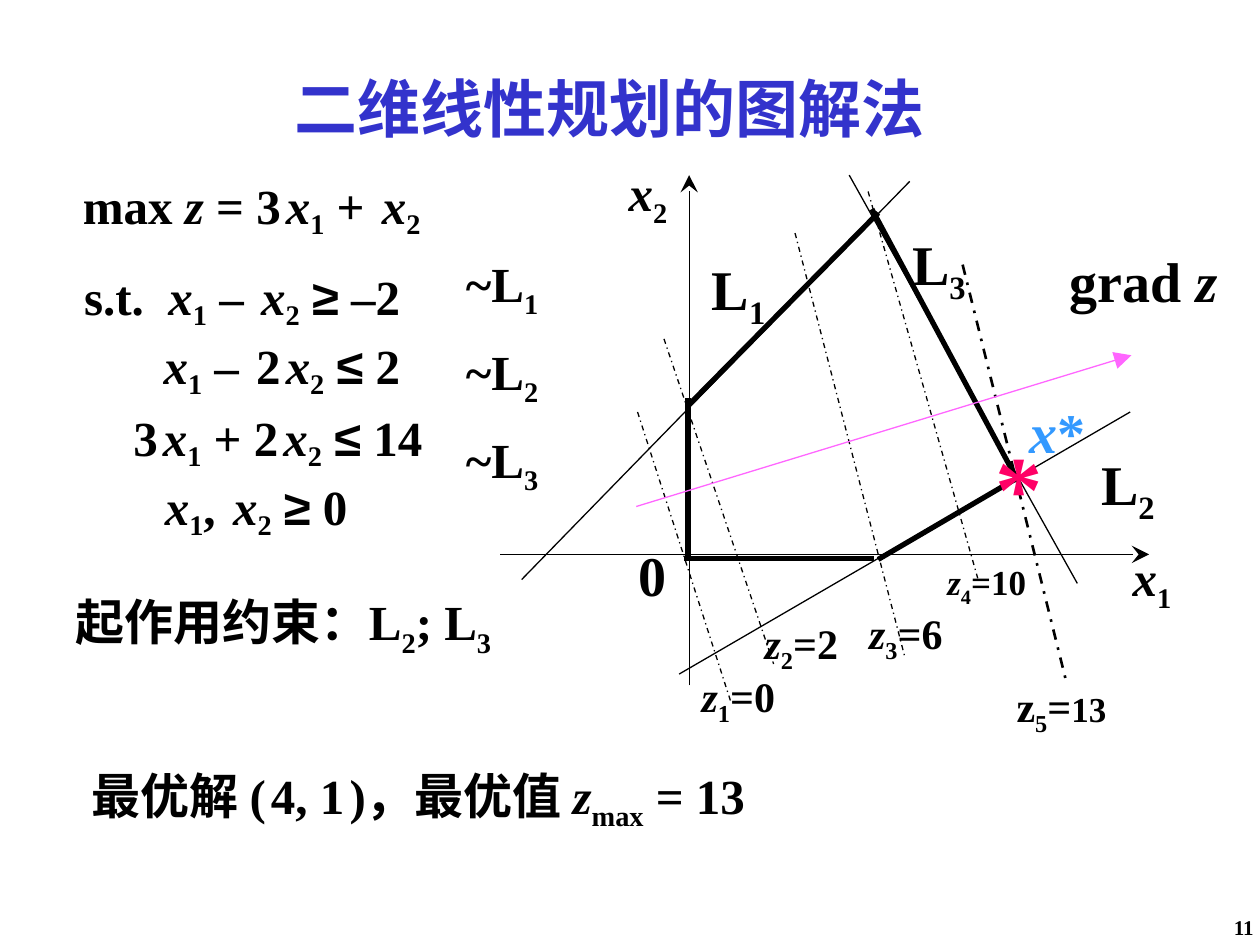
from itertools import groupby

from pptx import Presentation
from pptx.dml.color import RGBColor
from pptx.enum.dml import MSO_LINE
from pptx.enum.shapes import MSO_CONNECTOR
from pptx.enum.text import MSO_ANCHOR, MSO_AUTO_SIZE, PP_ALIGN
from pptx.oxml.ns import qn
from pptx.util import Inches, Pt
from lxml.etree import SubElement

BLACK = RGBColor(0x00, 0x00, 0x00)
TITLE_BLUE = RGBColor(0x33, 0x33, 0xCC)
GRADIENT_PINK = RGBColor(0xFF, 0x66, 0xFF)
OPTIMUM_BLUE = RGBColor(0x33, 0x99, 0xFF)
OPTIMUM_RED = RGBColor(0xFF, 0x00, 0x66)
FONT, SYMBOL_FONT = "Times New Roman", "Arial"

# Markup: /italic/  _subscript_  ^smaller^  | is a small lowered space.
TITLE = ("二维线性规划的图解法", (2.24, 0.59, 5.2, 0.53))
OBJECTIVE = ("max /z/ = 3|/x/_1_ + |/x/_2_", (0.56, 1.2, 2.39, 0.75))
CONSTRAINTS = [
    ("s.t.  /x/_1_ – |/x/_2_ ≥ –2", (0.57, 2.04, 3.2, 0.56)),
    ("/x/_1_ – |2|/x/_2_ ≤ 2", (1.2, 2.59, 2.54, 0.56)),
    ("3|/x/_1_ + 2|/x/_2_ ≤ 14", (0.96, 3.16, 2.76, 0.56)),
    ("/x/_1_, |/x/_2_ ≥ 0", (1.21, 3.71, 2.19, 0.56)),
]
CONCLUSIONS = [
    ("起作用约束：L_2_; L_3_", (0.5, 4.63, 3.72, 0.56)),
    ("最优解 (|4, 1|)，最优值 /z/_max_ = 13", (0.63, 6.01, 6.34, 0.56)),
]
LINE_TAGS = (["~L_1_", "~L_2_", "~L_3_"], (3.6, 1.96, 0.83, 2.04))

# Each: text, box, size, line spacing
PLOT_LABELS = [
    ("/x/_2_", (4.89, 1.24, 0.58, 0.63), 28, 1),
    ("/x/_1_", (8.89, 4.24, 0.58, 0.69), 28, 1.1),
    ("0", (4.97, 4.24, 0.58, 0.64), 32, 1),
    ("L_1_", (5.55, 1.85, 0.83, 0.83), 32, 1.2),
    ("L_2_", (8.64, 3.52, 0.83, 0.71), 32, 1),
    ("L_3_", (7.14, 1.77, 0.83, 0.71), 32, 1),
    ("/z/_1_=0", (5.47, 5.27, 0.83, 0.56), 24, 1),
    ("/z/_2_=2", (5.97, 4.85, 0.83, 0.56), 24, 1),
    ("/z/_3_=6", (6.8, 4.77, 0.83, 0.56), 24, 1),
    ("/z/_4_=10", (7.42, 4.4, 0.89, 0.48), 20, 1),
    ("z_5_=^13^", (7.97, 5.35, 1, 0.56), 24, 1),
]
FEASIBLE_EDGES = [
    (5.46, 3.16, 5.46, 4.43),
    (5.43, 4.43, 6.94, 4.43),
    (6.97, 4.44, 8.08, 3.79),
    (8.08, 3.82, 6.92, 1.66),
    (6.97, 1.69, 5.47, 3.21),
]
AXES = [(3.97, 4.4, 9.12, 4.4), (5.47, 5.44, 5.47, 1.39)]
CONSTRAINT_LINES = [
    (4.14, 4.6, 7.22, 1.44),
    (5.39, 5.35, 8.97, 3.27),
    (6.74, 1.39, 8.55, 4.63),
]
LEVEL_LINES = [
    (5.06, 3.27, 5.8, 5.57),
    (5.27, 2.69, 6.14, 5.27),
    (6.31, 1.85, 7.18, 5.21),
    (6.89, 1.52, 7.76, 4.59),
]
OPTIMAL_LEVEL = (7.64, 2.1, 8.47, 5.44)
GRADIENT = (5.05, 4.02, 8.98, 2.82)


def styled_chars(markup):
    """Yield each visible character with its (italic, sub, small, symbol) style."""
    on = {"/": False, "_": False, "^": False}
    for char in markup:
        if char in on:
            on[char] = not on[char]
        elif char == "|":
            yield " ", (False, True, True, False)
        else:
            yield char, (on["/"], on["_"], on["^"], char in "≥≤")


def fill_paragraph(paragraph, markup, size, color, sub):
    font = paragraph.font
    font.name, font.size, font.bold = FONT, Pt(size), True
    font.color.rgb = color
    for style, chars in groupby(styled_chars(markup), key=lambda pair: pair[1]):
        italic, lowered, small, symbol = style
        run = paragraph.add_run()
        run.text = "".join(char for char, _ in chars)
        if italic:
            run.font.italic = True
        if small:
            run.font.size = Pt(20)
        if symbol:
            run.font.name = SYMBOL_FONT
        if lowered:
            level = -25 if small else sub
            run.font._element.set("baseline", str(level * 1000))


def add_text(slide, lines, box, size=28, color=BLACK, spacing=1, before=0, after=0,
             sub=-25, one_line=False, align=None):
    """Add a text box; one_line keeps its box fixed and its text unwrapped."""
    shape = slide.shapes.add_textbox(*map(Inches, box))
    frame = shape.text_frame
    frame.word_wrap = not one_line
    frame.auto_size = MSO_AUTO_SIZE.NONE if one_line else MSO_AUTO_SIZE.SHAPE_TO_FIT_TEXT
    frame.vertical_anchor = MSO_ANCHOR.MIDDLE if one_line else MSO_ANCHOR.TOP
    for index, markup in enumerate(lines):
        paragraph = frame.add_paragraph() if index else frame.paragraphs[0]
        paragraph.line_spacing = spacing
        paragraph.space_before, paragraph.space_after = Pt(before), Pt(after)
        if align is not None:
            paragraph.alignment = align
        fill_paragraph(paragraph, markup, size, color, sub)
    return frame


def add_line(slide, ends, width=0.75, color=BLACK, dash=None, arrow=None):
    line = slide.shapes.add_connector(MSO_CONNECTOR.STRAIGHT, *map(Inches, ends))
    line.line.width = Pt(width)
    line.line.color.rgb = color
    if dash:
        line.line.dash_style = dash
    if arrow:
        SubElement(line.line._get_or_add_ln(), qn("a:tailEnd"),
                   type=arrow, w="lg", len="lg")
    SubElement(line._element.spPr, qn("a:effectLst"))


def add_formulation(slide):
    text, box = TITLE
    add_text(slide, [text], box, 36, TITLE_BLUE, one_line=True)
    text, box = OBJECTIVE
    add_text(slide, [text], box, spacing=1.3, sub=-20, one_line=True)
    for rows, sub in ((CONSTRAINTS, -20), (CONCLUSIONS, -25)):
        for text, box in rows:
            add_text(slide, [text], box, spacing=1.2, after=3.5, sub=sub, one_line=True)


def add_plot(slide):
    for edge in FEASIBLE_EDGES:
        add_line(slide, edge, 3)
    for axis in AXES:
        add_line(slide, axis, arrow="stealth")
    for ends in CONSTRAINT_LINES:
        add_line(slide, ends)
    for ends in LEVEL_LINES:
        add_line(slide, ends, dash=MSO_LINE.DASH_DOT)
    add_line(slide, OPTIMAL_LEVEL, 1.5, dash=MSO_LINE.DASH_DOT)
    add_line(slide, GRADIENT, color=GRADIENT_PINK, arrow="triangle")
    for text, box, size, spacing in PLOT_LABELS:
        add_text(slide, [text], box, size, spacing=spacing)
    add_text(slide, ["grad /z/"], (8.39, 1.9, 1.37, 0.64), 32, one_line=True)
    add_text(slide, ["/x/*"], (8.07, 3.1, 0.64, 0.64), 32, OPTIMUM_BLUE, one_line=True)
    add_text(slide, ["*"], (7.8, 3.35, 0.58, 1), 54, OPTIMUM_RED)


def add_page_number(slide):
    frame = add_text(slide, ["11"], (9.6, 7.25, 0.37, 0.22), 12, align=PP_ALIGN.RIGHT)
    frame.margin_left = frame.margin_right = Inches(0.02)
    frame.margin_top = frame.margin_bottom = Inches(0.01)


def main():
    deck = Presentation()
    deck.slide_width, deck.slide_height = Inches(10), Inches(7.5)
    slide = deck.slides.add_slide(deck.slide_layouts[6])
    add_page_number(slide)
    add_formulation(slide)
    add_plot(slide)
    tags, box = LINE_TAGS
    add_text(slide, tags, box, before=12.2)
    deck.save("out.pptx")


if __name__ == "__main__":
    main()
